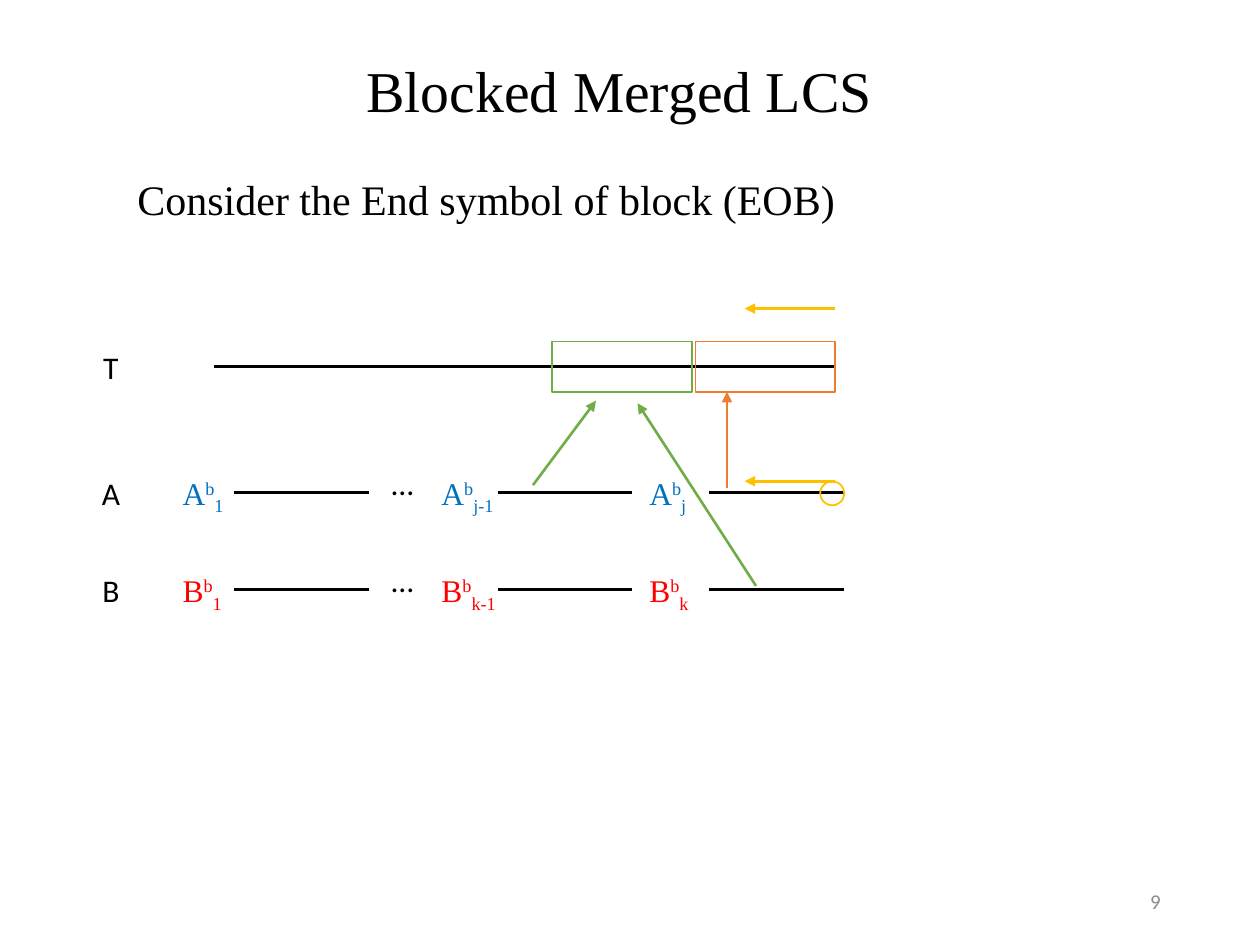
from dataclasses import dataclass

from lxml.etree import SubElement
from pptx import Presentation
from pptx.dml.color import RGBColor
from pptx.enum.shapes import MSO_CONNECTOR as Connector, MSO_SHAPE as Preset
from pptx.enum.text import MSO_ANCHOR as Anchor, MSO_AUTO_SIZE as AutoSize, PP_ALIGN as Align
from pptx.oxml.ns import qn
from pptx.util import Inches, Pt


@dataclass(frozen=True)
class Theme:
    serif: str = "Times New Roman"
    sans: str = "Calibri"
    ink: str = "000000"
    muted: str = "8C8C8C"
    blue: str = "0070C0"
    red: str = "FF0000"
    green: str = "70AD47"
    orange: str = "ED7D31"
    gold: str = "FFC000"
    title: float = 33
    body: float = 24
    label: float = 18
    small: float = 12
    stroke: float = 1.5
    outline: float = 1


@dataclass(frozen=True)
class Grid:
    """A region of the page, divided into square cells of the given size."""
    left: float
    top: float
    cell: float = 0.1

    def point(self, column, row):
        return Inches(self.left + column * self.cell), Inches(self.top + row * self.cell)

    def area(self, column, row, columns, rows):
        return (*self.point(column, row), Inches(columns * self.cell), Inches(rows * self.cell))


THEME = Theme()
PAGE = Grid(0, 0)
DIAGRAM = Grid(0.7, 2.4)

TEXT_ROWS = 4
ROW_T, ROW_A, ROW_B = 5.1, 15.1, 22.8
T_START, T_END = 10, 59.3
SEGMENT_STARTS, SEGMENT_COLUMNS = (11.6, 32.5, 49.3), 10.65
LABEL_SPANS = ((6.5, 5.5), (27.05, 6.7), (43.55, 5.3))
BLOCK_COLUMNS, BLOCK_ROWS = 11.1, 4


def add_span(para, text, size, color, font, baseline=None):
    span = para.add_run()
    span.text = text
    span.font.size = Pt(size)
    span.font.name = font
    span.font.color.rgb = RGBColor.from_string(color)
    if baseline is not None:
        span.font._element.set("baseline", str(baseline * 1000))


def fill_placeholder(box, area, text, size, align, anchor):
    box.left, box.top, box.width, box.height = area
    frame = box.text_frame
    frame.vertical_anchor = anchor
    frame.auto_size = AutoSize.NONE
    para = frame.paragraphs[0]
    para.alignment = align
    para.line_spacing = 0.9
    para.space_before = Pt(0)
    add_span(para, text, size, THEME.ink, THEME.serif)


def add_label(page, area, align=Align.LEFT):
    """Add an unwrapped text box and return its paragraph."""
    frame = page.shapes.add_textbox(*area).text_frame
    frame.word_wrap = False
    frame.auto_size = AutoSize.SHAPE_TO_FIT_TEXT
    para = frame.paragraphs[0]
    para.alignment = align
    return para


def add_line(page, grid, start, end, color=THEME.ink, arrow=False):
    line = page.shapes.add_connector(Connector.STRAIGHT, *grid.point(*start), *grid.point(*end))
    line.line.color.rgb = RGBColor.from_string(color)
    line.line.width = Pt(THEME.stroke)
    if arrow:
        SubElement(line.line._get_or_add_ln(), qn("a:tailEnd"), type="triangle")
    SubElement(line._element.spPr, qn("a:effectLst"))


def add_outline(page, preset, area, color):
    box = page.shapes.add_shape(preset, *area)
    box.shadow.inherit = False
    box.fill.background()
    box.line.color.rgb = RGBColor.from_string(color)
    box.line.width = Pt(THEME.outline)


def add_row_name(page, grid, name, row):
    para = add_label(page, grid.area(0.1, row - 2, 3.4, TEXT_ROWS), Align.CENTER)
    add_span(para, name, THEME.label, THEME.ink, THEME.sans)


def add_block_row(page, grid, name, row, indices, color):
    """Draw one input string: its name, then each block's label and segment."""
    add_row_name(page, grid, name, row)
    for start in SEGMENT_STARTS:
        add_line(page, grid, (start, row), (start + SEGMENT_COLUMNS, row))
    for (column, columns), index in zip(LABEL_SPANS, indices):
        para = add_label(page, grid.area(column, row - 2, columns, TEXT_ROWS))
        for text, baseline in ((name, None), ("b", 30), (index, -25)):
            add_span(para, text, THEME.label, color, THEME.serif, baseline)
    dots = add_label(page, grid.area(23.1, row - 2.8, 3.8, TEXT_ROWS))
    add_span(dots, "…", THEME.label, THEME.ink, THEME.sans)


def add_merged_row(page, grid):
    add_row_name(page, grid, "T", ROW_T)
    add_line(page, grid, (T_START, ROW_T), (T_END, ROW_T))
    for column, color in ((36.8, THEME.green), (T_END - BLOCK_COLUMNS, THEME.orange)):
        area = grid.area(column, ROW_T - BLOCK_ROWS / 2, BLOCK_COLUMNS, BLOCK_ROWS)
        add_outline(page, Preset.RECTANGLE, area, color)


def add_matches(page, grid):
    """Draw the arrows between blocks, the scan directions and the end symbol."""
    arrows = (
        ((50.7, 14.7), (50.7, ROW_T + BLOCK_ROWS / 2), THEME.orange),
        ((35.3, 14.5), (40.3, 7.8), THEME.green),
        ((53, 22.5), (43.6, 8), THEME.green),
        ((T_END, 14.2), (52.1, 14.2), THEME.gold),
        ((T_END, 0.5), (52.1, 0.5), THEME.gold),
    )
    for start, end, color in arrows:
        add_line(page, grid, start, end, color, arrow=True)
    add_outline(page, Preset.OVAL, grid.area(58.1, 14.2, 1.9, 1.9), THEME.gold)


def add_headings(page, grid):
    fill_placeholder(page.shapes.title, grid.area(20.8, 3, 56.7, 7.4),
                     "Blocked Merged LCS", THEME.title, Align.CENTER, Anchor.BOTTOM)
    fill_placeholder(page.placeholders[1], grid.area(9.9, 13.7, 75, 59.8),
                     "Consider the End symbol of block (EOB)", THEME.body,
                     Align.LEFT, Anchor.TOP)


def add_page_number(page, grid):
    frame = page.shapes.add_textbox(*grid.area(70.6, 69.5, 22.5, 4)).text_frame
    frame.word_wrap = True
    frame.vertical_anchor = Anchor.MIDDLE
    para = frame.paragraphs[0]
    para.alignment = Align.RIGHT
    add_span(para, "9", THEME.small, THEME.muted, THEME.sans)


def main():
    deck = Presentation()
    deck.slide_width, deck.slide_height = Inches(10), Inches(7.5)
    page = deck.slides.add_slide(deck.slide_layouts[0])
    add_headings(page, PAGE)
    add_page_number(page, PAGE)
    add_merged_row(page, DIAGRAM)
    add_block_row(page, DIAGRAM, "A", ROW_A, ("1", "j-1", "j"), THEME.blue)
    add_block_row(page, DIAGRAM, "B", ROW_B, ("1", "k-1", "k"), THEME.red)
    add_matches(page, DIAGRAM)
    deck.save("out.pptx")


if __name__ == "__main__":
    main()
